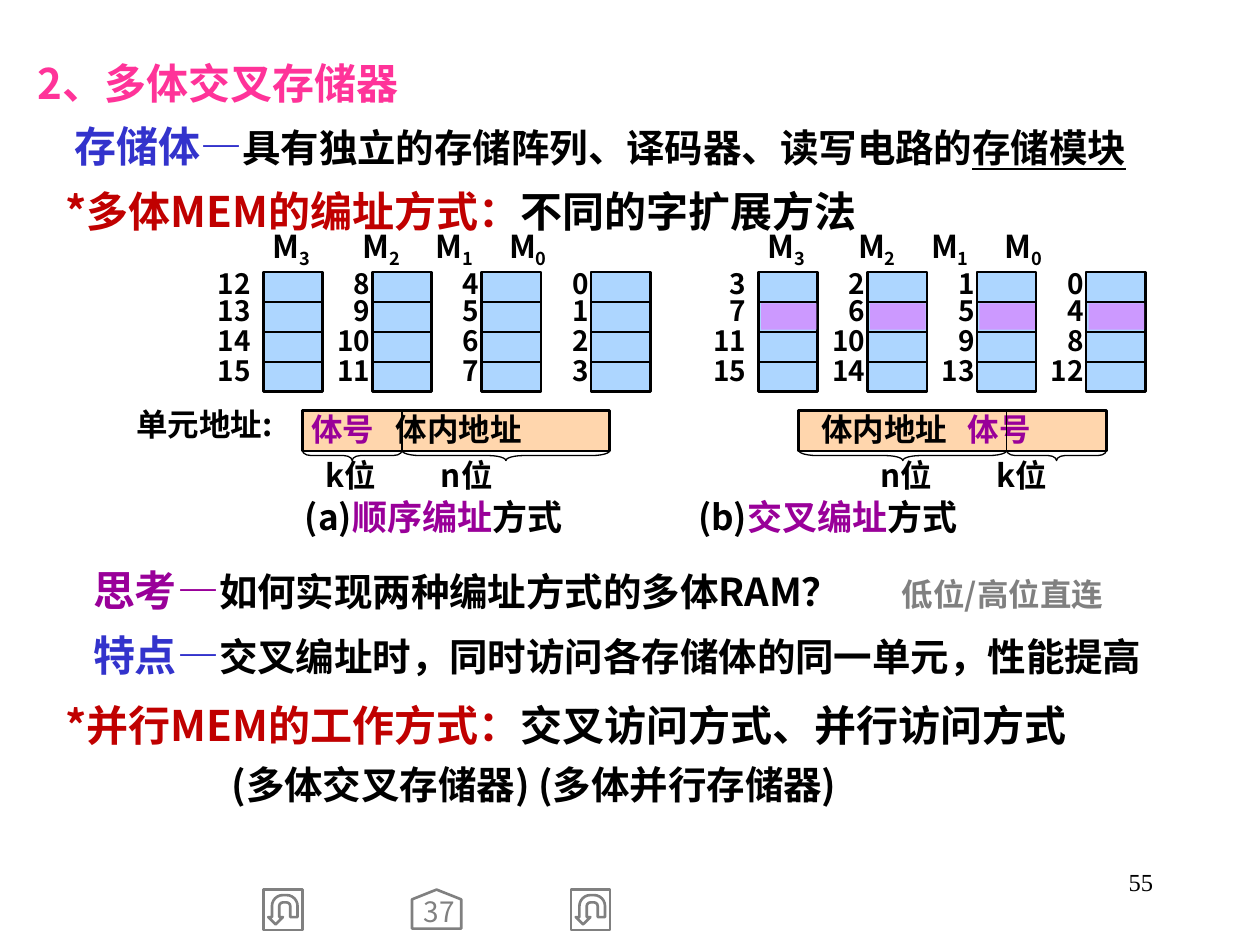
import pptx
import pptx.dml.color
import pptx.enum.shapes
import pptx.enum.text
import pptx.oxml.ns
import pptx.util
from lxml import etree
from pptx.util import Inches

FONT = "Noto Sans CJK SC"
BLACK, GRAY, RED, PURPLE, BLUE = "000000", "808080", "C00000", "990099", "3333CC"
SHAPE = pptx.enum.shapes.MSO_SHAPE
ALIGN = pptx.enum.text.PP_ALIGN
ANCHOR = pptx.enum.text.MSO_ANCHOR
TIGHT = (0.02, 0.01, 0.02, 0.01)
NORMAL = (0.1, 0.05, 0.1, 0.05)
qn = pptx.oxml.ns.qn

BANK_TOP, BANK_H, BANK_W, BANK_PITCH = 2.16, 0.95, 0.47, 0.867
BAR_TOP, BAR_H, BAR_W = 3.26, 0.32, 2.44
FIELD_W = {"k": 0.79, "n": 1.65}
FIELD_ADJ = {"k": 0.839, "n": 1.763}


def rgb(color):
    return pptx.dml.color.RGBColor.from_string(color)


def add_run(p, text, size, color=BLACK, bold=True, underline=False, font=FONT, sub=False):
    r = p.add_run()
    r.text = text
    r.font.size = pptx.util.Pt(size)
    r.font.bold = bold
    if underline:
        r.font.underline = True
    r.font.color.rgb = rgb(color)
    r.font.name = font
    rPr = r.font._element
    etree.SubElement(rPr, qn("a:ea")).set("typeface", font)
    if sub:
        rPr.set("baseline", "-20000")


def add_tabs(p, positions):
    tabs = etree.SubElement(p._p.get_or_add_pPr(), qn("a:tabLst"))
    for pos in positions:
        etree.SubElement(tabs, qn("a:tab"), pos=str(Inches(pos)), algn="l")


def fill_text(sp, paragraphs, spacing=(1,), align=ALIGN.LEFT, anchor=ANCHOR.TOP,
              insets=TIGHT, tabs=()):
    """Each paragraph is a list of dicts with the arguments of add_run."""
    tf = sp.text_frame
    tf.word_wrap = True
    tf.vertical_anchor = anchor
    tf.margin_left, tf.margin_top, tf.margin_right, tf.margin_bottom = map(Inches, insets)
    for i, runs in enumerate(paragraphs):
        p = tf.paragraphs[0] if i == 0 else tf.add_paragraph()
        p.alignment = align
        p.line_spacing = spacing[i]
        p.space_before = pptx.util.Pt(0)
        if tabs:
            add_tabs(p, tabs)
        for run in runs:
            add_run(p, **run)


def add_text(s, x, y, w, h, paragraphs, **options):
    sp = s.shapes.add_textbox(Inches(x), Inches(y), Inches(w), Inches(h))
    fill_text(sp, paragraphs, **options)


def run(text, size, color=BLACK, **options):
    return dict(text=text, size=size, color=color, **options)


def add_statement(s, indent, y, runs, tabs=()):
    add_text(s, 0.2 + indent, y, 9.6 - indent, 0.61, [runs], spacing=(1.25,),
             insets=NORMAL, tabs=tabs)


def add_shape(s, kind, x, y, w, h, fill=None, alpha=None, line=None, width=1.5, rotation=0, adj=()):
    sp = s.shapes.add_shape(kind, Inches(x), Inches(y), Inches(w), Inches(h))
    sp.shadow.inherit = False
    sp.rotation = rotation
    for i, value in enumerate(adj):
        sp.adjustments[i] = value
    if fill:
        sp.fill.solid()
        sp.fill.fore_color.rgb = rgb(fill)
        if alpha:
            clr = sp._element.spPr.find(qn("a:solidFill"))[0]
            etree.SubElement(clr, qn("a:alpha")).set("val", str(alpha * 1000))
    else:
        sp.fill.background()
    if line:
        sp.line.color.rgb = rgb(line)
        sp.line.width = pptx.util.Pt(width)
    else:
        sp.line.fill.background()
    return sp


def add_line(s, x1, y1, x2, y2):
    c = s.shapes.add_connector(pptx.enum.shapes.MSO_CONNECTOR.STRAIGHT,
                               Inches(x1), Inches(y1), Inches(x2), Inches(y2))
    c.line.color.rgb = rgb(BLACK)
    c.line.width = pptx.util.Pt(0.75)
    etree.SubElement(c._element.spPr, qn("a:effectLst"))


def add_bank(s, x, label_right, addresses, marked_row):
    add_shape(s, SHAPE.RECTANGLE, x, BANK_TOP, BANK_W, BANK_H, "99CCFF", 80, BLACK)
    row_h = BANK_H / 4
    for row in range(1, 4):
        y = BANK_TOP + row * row_h
        add_line(s, x, y, x + BANK_W, y)
    if marked_row is not None:
        add_shape(s, SHAPE.RECTANGLE, x + 0.02, BANK_TOP + marked_row * row_h + 0.01,
                  0.44, 0.21, "CC99FF")
    add_text(s, label_right - 0.32, BANK_TOP, 0.32, BANK_H,
             [[run(str(a), 16)] for a in addresses],
             spacing=(0.8, 0.8, 0.9, 0.9), align=ALIGN.RIGHT)


def add_memory(s, x, address_of, marked_row=None):
    """Draws banks M3 to M0; address_of(bank, row) gives each cell's address."""
    header = []
    for i, bank in enumerate(range(3, -1, -1)):
        bank_x = x + i * BANK_PITCH
        add_bank(s, bank_x, bank_x - (0 if i else 0.08),
                 [address_of(bank, row) for row in range(4)], marked_row)
        header += [run("\tM" if i else "M", 18), run(str(bank), 18, sub=True)]
    add_text(s, x + 0.05, 1.85, 3.1, 0.24, [header], anchor=ANCHOR.MIDDLE,
             tabs=(0.72, 1.3, 1.88))


def add_address_bar(s, x, fields, runs, inset, tab, bits_x):
    bar = add_shape(s, SHAPE.RECTANGLE, x, BAR_TOP, BAR_W, BAR_H, "FFCC99", 80, BLACK)
    fill_text(bar, [runs], spacing=(0.9,), anchor=ANCHOR.MIDDLE,
              insets=(inset, 0.01, 0.02, 0.01), tabs=(tab,))
    left = x
    for field in fields:
        w = FIELD_W[field]
        add_shape(s, SHAPE.LEFT_BRACE, left + w / 2 - 0.04, 3.615 - w / 2, 0.08, w,
                  line=BLACK, width=0.75, rotation=270, adj=(FIELD_ADJ[field], 0.5))
        left += w
    split = x + FIELD_W[fields[0]]
    add_line(s, split, BAR_TOP, split, BAR_TOP + BAR_H)
    add_text(s, bits_x, 3.65, 1.73, 0.24, [[run("位\t".join(fields) + "位", 18)]],
             anchor=ANCHOR.MIDDLE, tabs=(0.92,))


def add_navigation(s):
    add_shape(s, SHAPE.PENTAGON, 3.31, 7.02, 0.31, 0.39, line=GRAY, rotation=270, adj=(0.25,))
    add_text(s, 3.31, 7.14, 0.31, 0.24, [[run("37", 16, GRAY, bold=False)]],
             spacing=(0.85,), align=ALIGN.CENTER, insets=(0.04, 0, 0, 0))
    for x in (2.09, 4.53):
        add_shape(s, SHAPE.ACTION_BUTTON_RETURN, x, 7.06, 0.31, 0.32, line=GRAY, rotation=180)
    add_text(s, 7.17, 6.83, 2.08, 0.5,
             [[run("55", 14, bold=False, font="Times New Roman")]],
             align=ALIGN.RIGHT, insets=NORMAL)


def main():
    prs = pptx.Presentation()
    prs.slide_width, prs.slide_height = Inches(10), Inches(7.5)
    s = prs.slides.add_slide(prs.slide_layouts[5])

    title = s.shapes.title
    title.left, title.top, title.width, title.height = map(Inches, (0.2, 0.31, 9.6, 0.61))
    fill_text(title, [[run("2、多体交叉存储器", 24, "FF3399")]], spacing=(1.25,), insets=NORMAL)

    add_statement(s, 0.29, 0.81, [run("存储体—", 24, BLUE),
                                  run("具有独立的存储阵列、译码器、读写电路的", 22),
                                  run("存储模块", 22, underline=True)])
    add_statement(s, 0.22, 1.32, [run("*多体MEM的编址方式：", 24, RED),
                                  run("不同的字扩展方法", 24)])
    add_statement(s, 0.44, 4.33, [run("思考—", 24, PURPLE),
                                  run("如何实现两种编址方式的多体RAM？", 22),
                                  run("\t低位/高位直连", 18, GRAY)], tabs=(6.42,))
    add_statement(s, 0.44, 4.85, [run("特点—", 24, BLUE),
                                  run("交叉编址时，同时访问各存储体的同一单元，性能提高", 22)])
    add_statement(s, 0.22, 5.4, [run("*并行MEM的工作方式：", 24, RED),
                                 run("交叉访问方式、并行访问方式", 24)])
    add_statement(s, 1.54, 5.9, [run("(多体交叉存储器) (多体并行存储器)", 22)])

    add_memory(s, 2.09, lambda bank, row: bank * 4 + row)
    add_memory(s, 6.02, lambda bank, row: row * 4 + bank, marked_row=1)

    add_text(s, 1.06, BAR_TOP, 1.34, 0.32, [[run("单元地址:", 18)]], spacing=(0.8,))
    add_address_bar(s, 2.4, "kn", [run("体号", 18, PURPLE), run("\t体内地址", 18)],
                    0.07, 0.67, 2.56)
    add_address_bar(s, 6.34, "nk", [run("体内地址", 18), run("\t体号", 18, PURPLE)],
                    0.18, 1.16, 6.97)
    add_text(s, 2.4, 3.92, 6.61, 0.32,
             [[run("(a)", 20), run("顺序编址", 20, PURPLE), run("方式\t(b)", 20),
               run("交叉编址", 20, PURPLE), run("方式", 20)]], tabs=(3.12,))

    add_navigation(s)
    prs.save("out.pptx")


if __name__ == "__main__":
    main()
